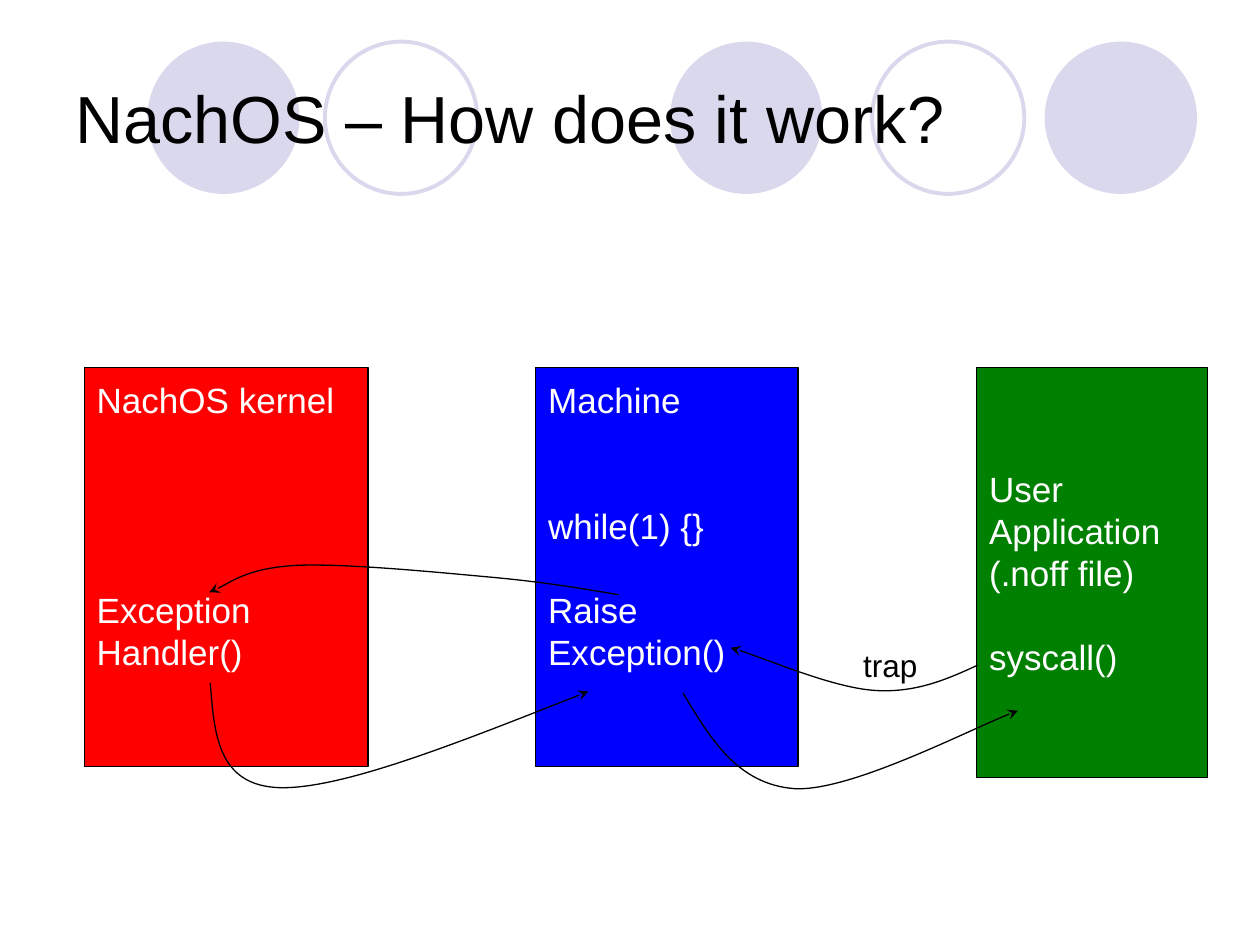
from dataclasses import dataclass

from lxml.etree import SubElement
from pptx import Presentation
from pptx.dml.color import RGBColor as RGB
from pptx.enum.shapes import MSO_SHAPE as SHAPE
from pptx.enum.text import MSO_ANCHOR as ANCHOR, PP_ALIGN as ALIGN
from pptx.oxml.ns import qn
from pptx.util import Cm, Pt


@dataclass(frozen=True)
class Theme:
    """Colours, font and type sizes of the slide."""
    font: str = "Arial"
    ink: RGB = RGB(0, 0, 0)
    light: RGB = RGB(255, 255, 255)
    circle: RGB = RGB(0xD9, 0xD8, 0xEC)
    kernel: RGB = RGB(255, 0, 0)
    machine: RGB = RGB(0, 0, 255)
    user: RGB = RGB(0, 128, 0)
    title_size: Pt = Pt(38)
    body_size: Pt = Pt(20)
    label_size: Pt = Pt(18)
    leading: Pt = Pt(24)
    thin: Pt = Pt(0.75)
    ring: Pt = Pt(2.25)


T = Theme()

CIRCLES = [(2.97, True), (6.55, False), (13.51, True), (17.58, False), (21.06, True)]

BOXES = [
    ((1.7, 7.41, 5.72, 8.05), T.kernel, ANCHOR.TOP,
     [("NachOS kernel", 0), ("Exception", 4), ("Handler()", 0)]),
    ((10.8, 7.41, 5.29, 8.05), T.machine, ANCHOR.TOP,
     [("Machine", 0), ("while(1) {}", 2), ("Raise", 1), ("Exception()", 0)]),
    ((19.69, 7.41, 4.65, 8.26), T.user, ANCHOR.MIDDLE,
     [("User", 0), ("Application", 0), ("(.noff file)", 0), ("syscall()", 1)]),
]

RAISE_TO_HANDLER = [
    (12.47, 11.99), (11.71, 11.86), (10.95, 11.73), (9.83, 11.63), (8.74, 11.53),
    (6.88, 11.35), (5.94, 11.4), (5, 11.46), (4.5, 11.84), (4.22, 11.94)]
SYSCALL_TO_RAISE = [
    (19.71, 13.41), (19.1, 13.69), (18.47, 13.97), (17.65, 13.92),
    (16.81, 13.87), (15.21, 13.18), (14.73, 13.06)]
MACHINE_TO_USER = [
    (13.77, 13.97), (14.33, 14.91), (14.88, 15.82), (16.03, 15.9),
    (17.15, 15.95), (19.79, 14.58), (20.52, 14.33)]
HANDLER_TO_MACHINE = [
    (4.24, 13.77), (4.32, 14.81), (4.39, 15.85), (5.66, 15.88),
    (6.93, 15.9), (9.4, 14.91), (11.86, 13.94)]


def set_attrs(obj, values):
    """Set each named attribute of an object."""
    for name, value in values.items():
        setattr(obj, name, value)


def place(sp, left, top, width, height):
    """Move and size a shape, in centimetres."""
    set_attrs(sp, {"left": Cm(left), "top": Cm(top), "width": Cm(width), "height": Cm(height)})


def write(p, text, size, color):
    """Write one left-aligned run into a paragraph."""
    p.alignment = ALIGN.LEFT
    r = p.add_run()
    r.text = text
    set_attrs(r.font, {"name": T.font, "size": size})
    r.font.color.rgb = color


def paint(sp, fill=None, line=None, width=T.thin):
    """Give a shape its fill and line, without shadow."""
    sp.shadow.inherit = False
    if fill is None:
        sp.fill.background()
    else:
        sp.fill.solid()
        sp.fill.fore_color.rgb = fill
    if line is None:
        sp.line.fill.background()
    else:
        sp.line.color.rgb = line
        sp.line.width = width


def add_circle(s, left, filled):
    """Add a header circle, either solid or as a ring."""
    sp = s.shapes.add_shape(SHAPE.OVAL, Cm(left), Cm(0.84), Cm(3.07), Cm(3.07))
    if filled:
        paint(sp, fill=T.circle)
    else:
        paint(sp, line=T.circle, width=T.ring)


def format_title(s, text):
    """Fill the title placeholder and bring it in front of the circles."""
    title = s.shapes.title
    place(title, 1.27, 0.76, 22.86, 3.18)
    title.text_frame.vertical_anchor = ANCHOR.MIDDLE
    write(title.text_frame.paragraphs[0], text, T.title_size, T.ink)
    title.element.getparent().append(title.element)


def add_box(s, bounds, fill, anchor, lines):
    """Add a component box whose lines carry the number of line gaps above."""
    sp = s.shapes.add_shape(SHAPE.RECTANGLE, *map(Cm, bounds))
    paint(sp, fill, T.ink)
    tf = sp.text_frame
    set_attrs(tf, {"vertical_anchor": anchor, "word_wrap": False, "margin_left": Cm(0.25),
                   "margin_top": Cm(0.22), "margin_bottom": Cm(0.22)})
    for i, (text, gaps) in enumerate(lines):
        p = tf.add_paragraph() if i else tf.paragraphs[0]
        set_attrs(p, {"line_spacing": T.leading, "space_before": gaps * T.leading})
        write(p, text, T.body_size, T.light)


def add_curve(s, points):
    """Add a curved arrow through a start point and triples of Bezier points."""
    start, *rest = [(Cm(x), Cm(y)) for x, y in points]
    builder = s.shapes.build_freeform(*start)
    builder.add_line_segments(rest, close=False)
    sp = builder.convert_to_shape()
    paint(sp, line=T.ink)
    outline = sp.element.find(".//" + qn("a:path"))
    segments = outline.findall(qn("a:lnTo"))
    for i in range(0, len(segments), 3):
        curve = SubElement(outline, qn("a:cubicBezTo"))
        for segment in segments[i:i + 3]:
            curve.append(segment[0])
            outline.remove(segment)
    SubElement(sp.element.find(".//" + qn("a:ln")), qn("a:tailEnd"), type="stealth")


def add_label(s, text, bounds):
    """Add a small text label."""
    tf = s.shapes.add_textbox(*map(Cm, bounds)).text_frame
    tf.word_wrap = True
    write(tf.paragraphs[0], text, T.label_size, T.ink)


def main():
    """Build the slide and save it."""
    prs = Presentation()
    set_attrs(prs, {"slide_width": Cm(25.4), "slide_height": Cm(19.05)})
    s = prs.slides.add_slide(prs.slide_layouts[5])
    for left, filled in CIRCLES:
        add_circle(s, left, filled)
    format_title(s, "NachOS – How does it work?")
    for box in BOXES:
        add_box(s, *box)
    for points in (RAISE_TO_HANDLER, SYSCALL_TO_RAISE, MACHINE_TO_USER, HANDLER_TO_MACHINE):
        add_curve(s, points)
    add_label(s, "trap", (17.15, 12.9, 1.7, 1.02))
    prs.save("out.pptx")


if __name__ == "__main__":
    main()
